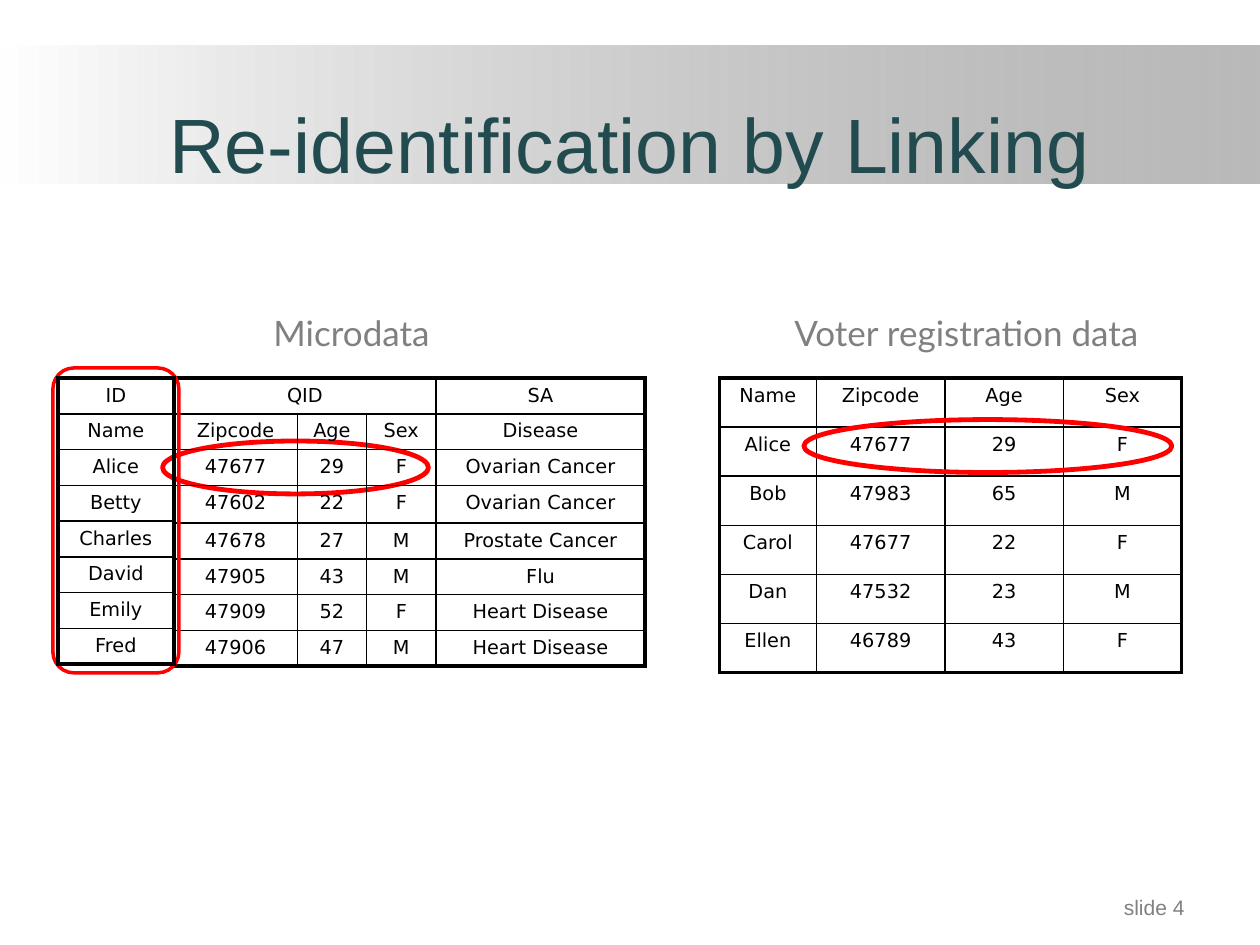
from dataclasses import dataclass

from lxml import etree
from pptx import Presentation
from pptx import util as u
from pptx.dml.color import RGBColor
from pptx.enum import shapes, text
from pptx.oxml import ns


@dataclass(frozen=True)
class Theme:
    """Colours, fonts and sizes shared by the whole page."""

    title: tuple = ("Arial", 44, "224B50")
    label: tuple = ("Lato", 20, "808080")
    cell: tuple = ("DejaVu Sans", 11, "000000")
    footer: tuple = ("Arial", 12, "808080")
    band: tuple = ("FFFFFF", "808080")
    band_opacity: int = 54
    mark: str = "FF0000"
    grid: str = "000000"
    outer: float = 2.25
    inner: float = 1


THEME = Theme()
ALIGN = text.PP_ALIGN
ANCHOR = text.MSO_ANCHOR
SHAPE = shapes.MSO_SHAPE

VOTERS = [
    ("Name", "Zipcode", "Age", "Sex"),
    ("Alice", "47677", "29", "F"),
    ("Bob", "47983", "65", "M"),
    ("Carol", "47677", "22", "F"),
    ("Dan", "47532", "23", "M"),
    ("Ellen", "46789", "43", "F"),
]
MICRODATA = [
    ("QID", "", "", "SA"),
    ("Zipcode", "Age", "Sex", "Disease"),
    ("47677", "29", "F", "Ovarian Cancer"),
    ("47602", "22", "F", "Ovarian Cancer"),
    ("47678", "27", "M", "Prostate Cancer"),
    ("47905", "43", "M", "Flu"),
    ("47909", "52", "F", "Heart Disease"),
    ("47906", "47", "M", "Heart Disease"),
]
NAMES = [(name,) for name in
         ("ID", "Name", "Alice", "Betty", "Charles", "David", "Emily", "Fred")]

TABLE_TOP = 3
VOTER_COLUMNS = (0.77, 1.02, 0.94, 0.94)
MICRODATA_COLUMNS = (0.98, 0.55, 0.55, 1.66)
MICRODATA_ROWS = [0.28] * 3 + [0.3] + [0.28] * 4


def inches(*values):
    """Turn plain numbers into lengths."""
    return [u.Inches(value) for value in values]


def style(paragraph, look, align):
    """Set font, size, colour and alignment of a paragraph."""
    name, size, colour = look
    paragraph.alignment = align
    paragraph.font.name = name
    paragraph.font.size = u.Pt(size)
    paragraph.font.color.rgb = RGBColor.from_string(colour)


def add_text(page, words, at, look, align=ALIGN.CENTER, anchor=ANCHOR.TOP):
    """Add one line of text in a box."""
    frame = page.shapes.add_textbox(*inches(*at)).text_frame
    frame.word_wrap = True
    frame.vertical_anchor = anchor
    frame.text = words
    style(frame.paragraphs[0], look, align)


def add_band(page, at):
    """Add the fading band behind the title."""
    band = page.shapes.add_shape(SHAPE.RECTANGLE, *inches(*at))
    band.shadow.inherit = False
    band.line.fill.background()
    band.fill.gradient()
    band.fill.gradient_angle = 0
    for stop, colour in zip(band.fill.gradient_stops, THEME.band):
        stop.color.rgb = RGBColor.from_string(colour)
    last_colour = band.element.findall(".//" + ns.qn("a:srgbClr"))[-1]
    etree.SubElement(last_colour, ns.qn("a:alpha"), val=str(THEME.band_opacity * 1000))


def add_mark(page, kind, at, weight):
    """Add a red outline that singles out some cells."""
    mark = page.shapes.add_shape(kind, *inches(*at))
    mark.shadow.inherit = False
    mark.fill.background()
    mark.line.color.rgb = RGBColor.from_string(THEME.mark)
    mark.line.width = u.Pt(weight)


def set_borders(cell, outer_sides):
    """Draw heavy borders on the outer sides and light ones elsewhere."""
    properties = cell._tc.get_or_add_tcPr()
    for position, side in enumerate("LRTB"):
        weight = THEME.outer if side in outer_sides else THEME.inner
        line = etree.Element(ns.qn("a:ln" + side), w=str(u.Pt(weight)))
        fill = etree.SubElement(line, ns.qn("a:solidFill"))
        etree.SubElement(fill, ns.qn("a:srgbClr"), val=THEME.grid)
        properties.insert(position, line)


def add_table(page, rows, left, widths, heights):
    """Add a ruled table and return it."""
    size = inches(left, TABLE_TOP, sum(widths), sum(heights))
    table = page.shapes.add_table(len(rows), len(widths), *size).table
    table.first_row = table.horz_banding = False
    for column, width in zip(table.columns, widths):
        column.width = u.Inches(width)
    for row, height in zip(table.rows, heights):
        row.height = u.Inches(height)
    for r, row in enumerate(rows):
        for c, words in enumerate(row):
            cell = table.cell(r, c)
            cell.text = words
            cell.fill.background()
            style(cell.text_frame.paragraphs[0], THEME.cell, ALIGN.CENTER)
            edges = {"L": c == 0, "R": c == len(row) - 1,
                     "T": r == 0, "B": r == len(rows) - 1}
            set_borders(cell, [side for side, outer in edges.items() if outer])
    return table


def main():
    """Build the page and save the deck."""
    deck = Presentation()
    deck.slide_width, deck.slide_height = inches(10, 7.5)
    page = deck.slides.add_slide(deck.slide_layouts[6])

    add_band(page, (0, 0.36, 10, 1.1))
    add_text(page, "Re-identification by Linking", (0.5, 0.3, 9, 1.25),
             THEME.title, anchor=ANCHOR.BOTTOM)

    add_table(page, VOTERS, 5.71, VOTER_COLUMNS, [0.39] * len(VOTERS))
    add_text(page, "Voter registration data", (5.96, 2.42, 3.42, 0.33), THEME.label)
    add_mark(page, SHAPE.OVAL, (6.38, 3.33, 2.92, 0.42), 2.75)
    add_mark(page, SHAPE.OVAL, (1.29, 3.5, 2.11, 0.42), 2.75)

    microdata = add_table(page, MICRODATA, 1.38, MICRODATA_COLUMNS, MICRODATA_ROWS)
    microdata.cell(0, 0).merge(microdata.cell(0, 2))
    add_mark(page, SHAPE.ROUNDED_RECTANGLE, (0.42, 2.92, 1, 2.42), 2)
    add_table(page, NAMES, 0.46, (0.92,), [0.28] * len(NAMES))
    add_text(page, "Microdata", (1.04, 2.42, 3.5, 0.42), THEME.label)

    add_text(page, "slide 4", (7.17, 6.83, 2.33, 0.52),
             THEME.footer, ALIGN.RIGHT, ANCHOR.BOTTOM)
    deck.save("out.pptx")


if __name__ == "__main__":
    main()
